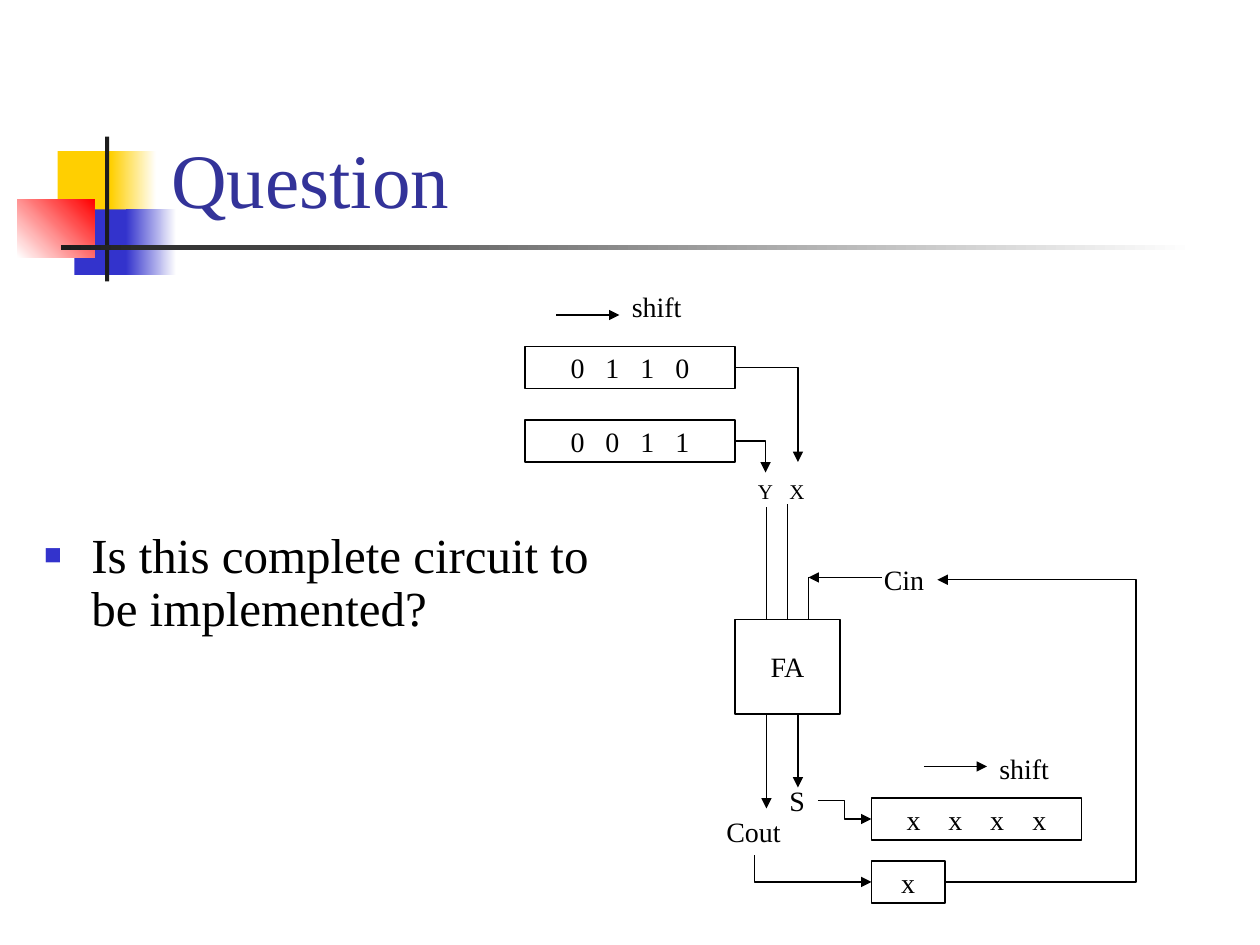
import dataclasses

import lxml.etree
import pptx
import pptx.dml.color
import pptx.enum.shapes
import pptx.enum.text
import pptx.oxml.ns
import pptx.util

Pt = pptx.util.Pt
qn = pptx.oxml.ns.qn
RGB = pptx.dml.color.RGBColor.from_string
RECTANGLE = pptx.enum.shapes.MSO_SHAPE.RECTANGLE
ANCHOR = pptx.enum.text.MSO_ANCHOR
ALIGN = pptx.enum.text.PP_ALIGN
AUTO_SIZE = pptx.enum.text.MSO_AUTO_SIZE


@dataclasses.dataclass(frozen=True)
class Theme:
    font: str = "Times New Roman"
    ink: str = "000000"
    title: str = "333399"
    paper: str = "FFFFFF"
    yellow: str = "FFCF01"
    blue: str = "3333CC"
    red: str = "FF0000"
    bar: str = "1C1C1C"
    title_size: float = 44
    body_size: float = 28
    label_size: float = 16
    pin_size: float = 12
    line: float = 0.75


THEME = Theme()


def set_attributes(target, values):
    for name, value in values.items():
        setattr(target, name, value)


def points(*lengths):
    return [Pt(length) for length in lengths]


def add_child(parent, tag, **attributes):
    child = lxml.etree.SubElement(parent, qn(tag))
    for name, value in attributes.items():
        child.set(name, str(value))
    return child


def write_text(shape, text, size, color=THEME.ink, gap=0, frame=None, paragraph=None):
    """Write one paragraph; gap is the letter spacing before the last letter."""
    text_frame = shape.text_frame
    set_attributes(text_frame, frame or {})
    first = text_frame.paragraphs[0]
    set_attributes(first, paragraph or {})
    pieces = [(text[:-1], gap), (text[-1], 0)] if gap else [(text, 0)]
    for piece, spacing in pieces:
        run = first.add_run()
        run.text = piece
        set_attributes(run.font, {"name": THEME.font, "size": Pt(size)})
        run.font.color.rgb = RGB(color)
        if spacing:
            run.font._element.set("spc", str(round(spacing * 100)))
    return first


def add_block(shapes, box, start, end=None, angle=0):
    """A decorative block, solid or fading from start to end."""
    block = shapes.add_shape(RECTANGLE, *points(*box))
    block.shadow.inherit = False
    block.line.fill.background()
    if end is None:
        block.fill.solid()
        block.fill.fore_color.rgb = RGB(start)
        return
    block.fill.gradient()
    block.fill.gradient_angle = angle
    for stop, position, color in zip(block.fill.gradient_stops, (0, 1), (start, end)):
        stop.position = position
        stop.color.rgb = RGB(color)


def add_box(shapes, box, text, gap=0):
    shape = shapes.add_shape(RECTANGLE, *points(*box))
    shape.shadow.inherit = False
    shape.fill.background()
    shape.line.color.rgb = RGB(THEME.ink)
    shape.line.width = Pt(THEME.line)
    write_text(shape, text, THEME.label_size, gap=gap,
               frame={"word_wrap": False, "vertical_anchor": ANCHOR.MIDDLE},
               paragraph={"alignment": ALIGN.CENTER})


def add_label(shapes, box, text, size=THEME.label_size):
    label = shapes.add_textbox(*points(*box))
    write_text(label, text, size,
               frame={"word_wrap": False, "auto_size": AUTO_SIZE.SHAPE_TO_FIT_TEXT})


def add_wire(shapes, start, end, arrow=None, preset="line", turn=None):
    """A wire; arrow is headEnd or tailEnd, turn the x of the middle leg."""
    kind = pptx.enum.shapes.MSO_CONNECTOR
    wire = shapes.add_connector(kind.STRAIGHT if preset == "line" else kind.ELBOW,
                                *points(*start, *end))
    wire.line.color.rgb = RGB(THEME.ink)
    wire.line.width = Pt(THEME.line)
    properties = wire._element.spPr
    geometry = properties.find(qn("a:prstGeom"))
    geometry.set("prst", preset)
    if turn is not None:
        adjust = round((turn - start[0]) / (end[0] - start[0]) * 100000)
        add_child(geometry.find(qn("a:avLst")), "a:gd", name="adj1", fmla=f"val {adjust}")
    if arrow:
        add_child(properties.find(qn("a:ln")), f"a:{arrow}", type="triangle")
    add_child(properties, "a:effectLst")


def add_decoration(shapes):
    white = THEME.paper
    add_block(shapes, (33, 86.4, 34.5, 37.4), THEME.yellow)
    add_block(shapes, (63.3, 86.4, 26, 37.4), THEME.yellow, white)
    add_block(shapes, (42.5, 119.7, 33, 37.4), THEME.blue)
    add_block(shapes, (72, 119.7, 28.8, 37.4), THEME.blue, white)
    add_block(shapes, (10, 113.8, 44, 33.4), white, THEME.red, 45)
    add_block(shapes, (60, 78, 2.4, 82.8), THEME.bar)
    add_block(shapes, (34.8, 140.2, 648, 2.5), THEME.bar, white)


def place(placeholder, box):
    """Position a placeholder and bring it to the front."""
    set_attributes(placeholder, dict(zip(("left", "top", "width", "height"), points(*box))))
    placeholder.element.getparent().append(placeholder.element)


def fill_placeholders(slide):
    title, body = slide.placeholders
    place(title, (90.7, 16.6, 613.4, 115.2))
    write_text(title, "Question", THEME.title_size, THEME.title,
               frame={"vertical_anchor": ANCHOR.BOTTOM, "auto_size": AUTO_SIZE.NONE},
               paragraph={"alignment": ALIGN.LEFT})
    place(body, (18, 300, 336, 72))
    paragraph = write_text(body, "Is this complete circuit to be implemented?", THEME.body_size,
                           frame={"auto_size": AUTO_SIZE.NONE},
                           paragraph={"line_spacing": 0.9, "space_before": Pt(5.6)})
    # Square bullet with a hanging indent
    properties = paragraph._element.get_or_add_pPr()
    properties.set("marL", str(Pt(27)))
    properties.set("indent", str(Pt(-27)))
    add_child(add_child(properties, "a:buClr"), "a:srgbClr", val=THEME.blue)
    add_child(properties, "a:buSzPct", val=60000)
    add_child(properties, "a:buFont", typeface=THEME.font)
    add_child(properties, "a:buChar", char="■")


def add_circuit(shapes):
    # Full adder with its input and output pins
    add_box(shapes, (420, 354, 60, 54), "FA")
    for x in (438, 450, 462):
        add_wire(shapes, (x, 354), (x, 330))
    for x, top in ((438, 290), (450, 288)):
        add_wire(shapes, (x, 330), (x, top))
    for x, bottom in ((438, 462), (456, 450)):
        add_wire(shapes, (x, 432), (x, 408))
        add_wire(shapes, (x, 432), (x, bottom), "tailEnd")
    add_wire(shapes, (504, 330), (462, 330), "tailEnd")

    # Signal names
    for x, name in ((426, "Y"), (444, "X")):
        add_label(shapes, (x, 270, 23, 21.8), name, THEME.pin_size)
    for x, y, width, name in ((444, 444, 23, "S"), (498, 318, 37.7, "Cin"),
                              (408, 462, 45.4, "Cout")):
        add_label(shapes, (x, y, width, 26.6), name)

    # Shift registers and carry store
    for x, y, width, bits, gap in ((300, 198, 120, "0 1 1 0", 4), (300, 240, 120, "0 0 1 1", 4),
                                   (498, 456, 120, "x x x x", 6), (498, 492, 42, "x", 0)):
        add_box(shapes, (x, y, width, 24), bits, gap)
    for x, y, label_y in ((318, 180, 162), (528, 438, 426)):
        add_wire(shapes, (x, y), (x + 36, y), "tailEnd")
        add_label(shapes, (x + 36, label_y, 43.2, 26.6), "shift")

    # Bent wires between registers and adder
    add_wire(shapes, (420, 210), (456, 264), "tailEnd", "bentConnector2")
    add_wire(shapes, (420, 252), (437.5, 270), "tailEnd", "bentConnector2")
    add_wire(shapes, (467.3, 457.3), (498, 468), "tailEnd", "bentConnector3", 482.6)
    add_wire(shapes, (498, 504), (431, 488.5), "headEnd", "bentConnector2")
    add_wire(shapes, (540, 504), (535.7, 331.3), "tailEnd", "bentConnector3", 649)


def main():
    presentation = pptx.Presentation()
    set_attributes(presentation, {"slide_width": Pt(720), "slide_height": Pt(540)})
    slide = presentation.slides.add_slide(presentation.slide_layouts[1])
    add_decoration(slide.shapes)
    fill_placeholders(slide)
    add_circuit(slide.shapes.add_group_shape().shapes)
    presentation.save("out.pptx")


main()
